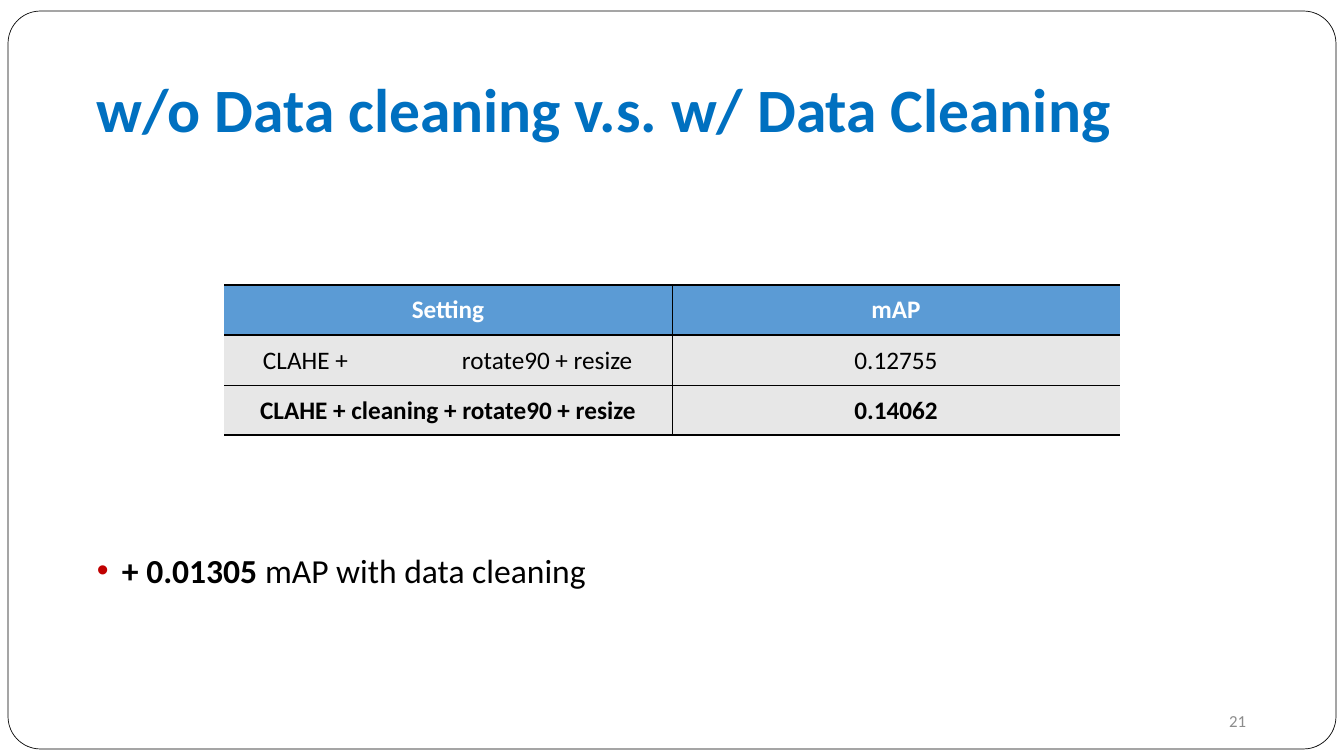
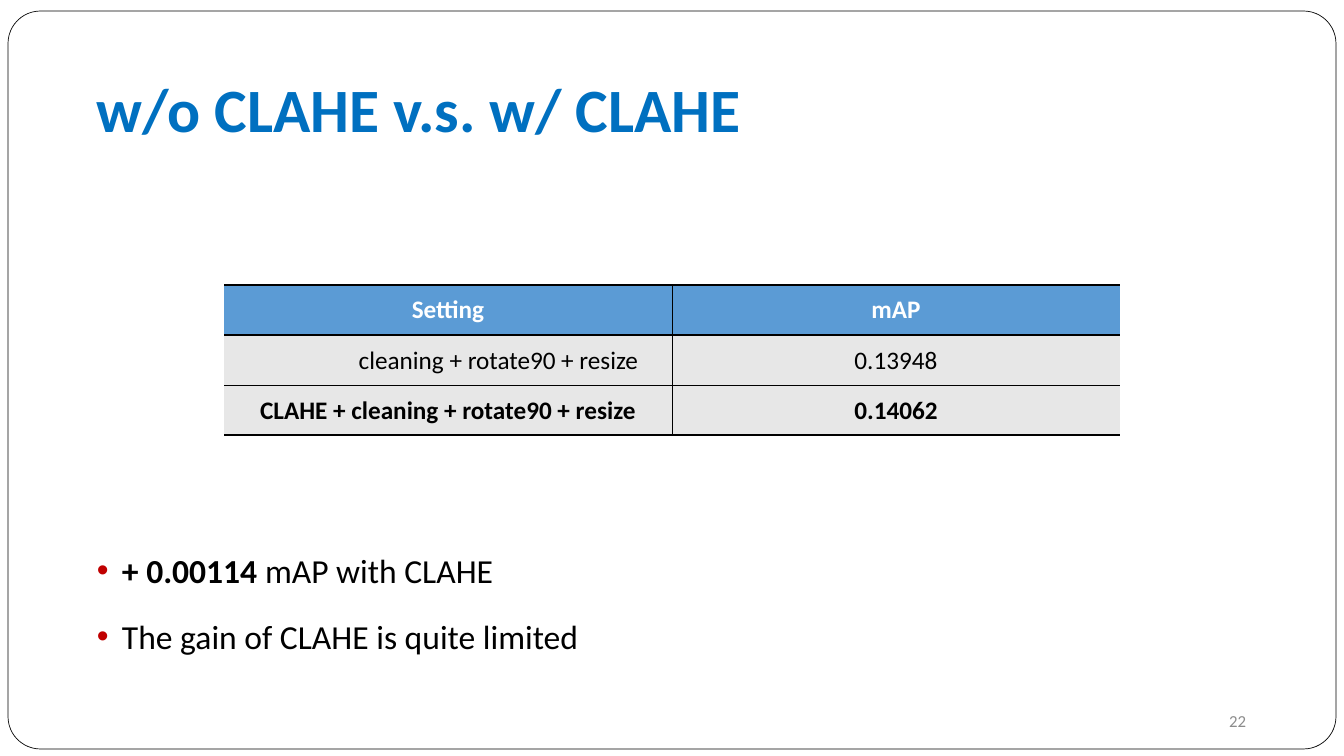
from lxml import etree
from pptx import Presentation
from pptx import util as u
from pptx.dml.color import RGBColor
from pptx.enum import shapes, text
from pptx.oxml import ns

# Shared style
BLUE = RGBColor(0x00, 0x70, 0xC0)
HEADER_BLUE = RGBColor(0x5B, 0x9B, 0xD5)
ROW_GREY = RGBColor(0xE7, 0xE7, 0xE7)
PAGE_GREY = RGBColor(0x8C, 0x8C, 0x8C)
BULLET_RED = RGBColor(0xC0, 0x00, 0x00)
BLACK = RGBColor(0x00, 0x00, 0x00)
WHITE = RGBColor(0xFF, 0xFF, 0xFF)
FONT = "Calibri"
ALIGN = text.PP_ALIGN
MIDDLE = text.MSO_ANCHOR.MIDDLE
PX_PER_INCH = 50.4


def px(length):
    return u.Emu(round(length * 914400 / PX_PER_INCH))


def add_xml(parent, tag, **attributes):
    return etree.SubElement(parent, ns.qn(tag), attributes)


def write(paragraph, words, size=36, color=BLACK, bold=False, align=None, spacing=None):
    """Append one formatted run to a paragraph."""
    run = paragraph.add_run()
    run.text = words
    run.font.name = FONT
    run.font.size = u.Pt(size)
    run.font.bold = bold
    run.font.color.rgb = color
    if align is not None:
        paragraph.alignment = align
    if spacing is not None:
        paragraph.line_spacing = spacing


class Deck:
    def __init__(self):
        self.presentation = Presentation()
        self.presentation.slide_width = px(1344)
        self.presentation.slide_height = px(756)
        self.slide = None

    def new_slide(self, title, number):
        layout = self.presentation.slide_layouts[6]
        self.slide = self.presentation.slides.add_slide(layout)
        self.frame()
        heading = self.text_box(92, 40, 1159, 146, MIDDLE)
        write(heading.paragraphs[0], title, size=88, color=BLUE, bold=True, spacing=0.9)
        footer = self.text_box(949, 701, 302, 40, MIDDLE)
        write(footer.paragraphs[0], str(number), size=24, color=PAGE_GREY, align=ALIGN.RIGHT)

    def frame(self):
        shape = self.slide.shapes.add_shape(
            shapes.MSO_SHAPE.ROUNDED_RECTANGLE, px(8), px(11), px(1328), px(738))
        shape.adjustments[0] = 0.044
        shape.shadow.inherit = False
        shape.fill.background()
        shape.line.color.rgb = BLACK
        shape.line.width = u.Pt(1)

    def text_box(self, left, top, width, height, anchor=text.MSO_ANCHOR.TOP):
        box = self.slide.shapes.add_textbox(px(left), px(top), px(width), px(height))
        box.text_frame.word_wrap = True
        box.text_frame.vertical_anchor = anchor
        return box.text_frame

    def bullets(self, items):
        """Each item is a list of (words, bold) runs."""
        frame = self.text_box(92, 535, 1159, 146)
        for index, runs in enumerate(items):
            paragraph = frame.add_paragraph() if index else frame.paragraphs[0]
            paragraph.space_before = u.Pt(20)
            for words, bold in runs:
                write(paragraph, words, size=48, bold=bold, align=ALIGN.JUSTIFY, spacing=1.3)
            properties = paragraph._p.get_or_add_pPr()
            properties.set("marL", str(px(25)))
            properties.set("indent", str(-px(25)))
            add_xml(add_xml(properties, "a:buClr"), "a:srgbClr", val=str(BULLET_RED))
            add_xml(properties, "a:buFont", typeface="Arial")
            add_xml(properties, "a:buChar", char="•")

    def borders(self, cell, **widths):
        """Set border widths in points for L, R, T and B; 0 hides a side."""
        properties = cell._tc.get_or_add_tcPr()
        for position, side in enumerate("LRTB"):
            line = etree.Element(ns.qn("a:ln" + side), w=str(u.Pt(widths[side])))
            if widths[side]:
                add_xml(add_xml(line, "a:solidFill"), "a:srgbClr", val=str(BLACK))
            else:
                add_xml(line, "a:noFill")
            properties.insert(position, line)

    def table(self, rows):
        graphic = self.slide.shapes.add_table(3, 2, px(224), px(285), px(896), px(150))
        table = graphic.table
        table.first_row = table.horz_banding = False
        rules = [2, 2, 1, 2]
        for r, values in enumerate(rows):
            table.rows[r].height = px(50)
            for c, value in enumerate(values):
                cell = table.cell(r, c)
                cell.vertical_anchor = MIDDLE
                cell.fill.solid()
                cell.fill.fore_color.rgb = ROW_GREY if r else HEADER_BLUE
                if r:
                    cell.margin_left = cell.margin_right = px(4)
                    cell.margin_top = cell.margin_bottom = 0
                write(cell.text_frame.paragraphs[0], value, color=BLACK if r else WHITE,
                      bold=r != 1, align=ALIGN.CENTER, spacing=1.07 if r else None)
                self.borders(cell, L=c, R=1 - c, T=rules[r], B=rules[r + 1])
        return table


def results(setting, score):
    return [("Setting", "mAP"), (setting, score),
            ("CLAHE + cleaning + rotate90 + resize", "0.14062")]


def main():
    deck = Deck()

    # Data cleaning: a tab leaves room for the missing step
    deck.new_slide("w/o Data cleaning v.s. w/ Data Cleaning", 21)
    table = deck.table(results("CLAHE +\trotate90 + resize", "0.12755"))
    cell = table.cell(1, 0)
    cell.margin_left = px(39)
    paragraph = cell.text_frame.paragraphs[0]
    paragraph.alignment = ALIGN.LEFT
    tabs = add_xml(paragraph._p.get_or_add_pPr(), "a:tabLst")
    add_xml(tabs, "a:tab", pos=str(px(199)), algn="l")
    deck.bullets([[("+ 0.01305 ", True), ("mAP with data cleaning", False)]])

    # CLAHE: a wide left margin leaves room for the missing step
    deck.new_slide("w/o CLAHE v.s. w/ CLAHE", 22)
    table = deck.table(results("cleaning + rotate90 + resize", "0.13948"))
    table.cell(1, 0).margin_left = px(105)
    deck.bullets([[("+ 0.00114 ", True), ("mAP with CLAHE", False)],
                  [("The gain of CLAHE is quite limited", False)]])

    deck.presentation.save("out.pptx")


if __name__ == "__main__":
    main()
